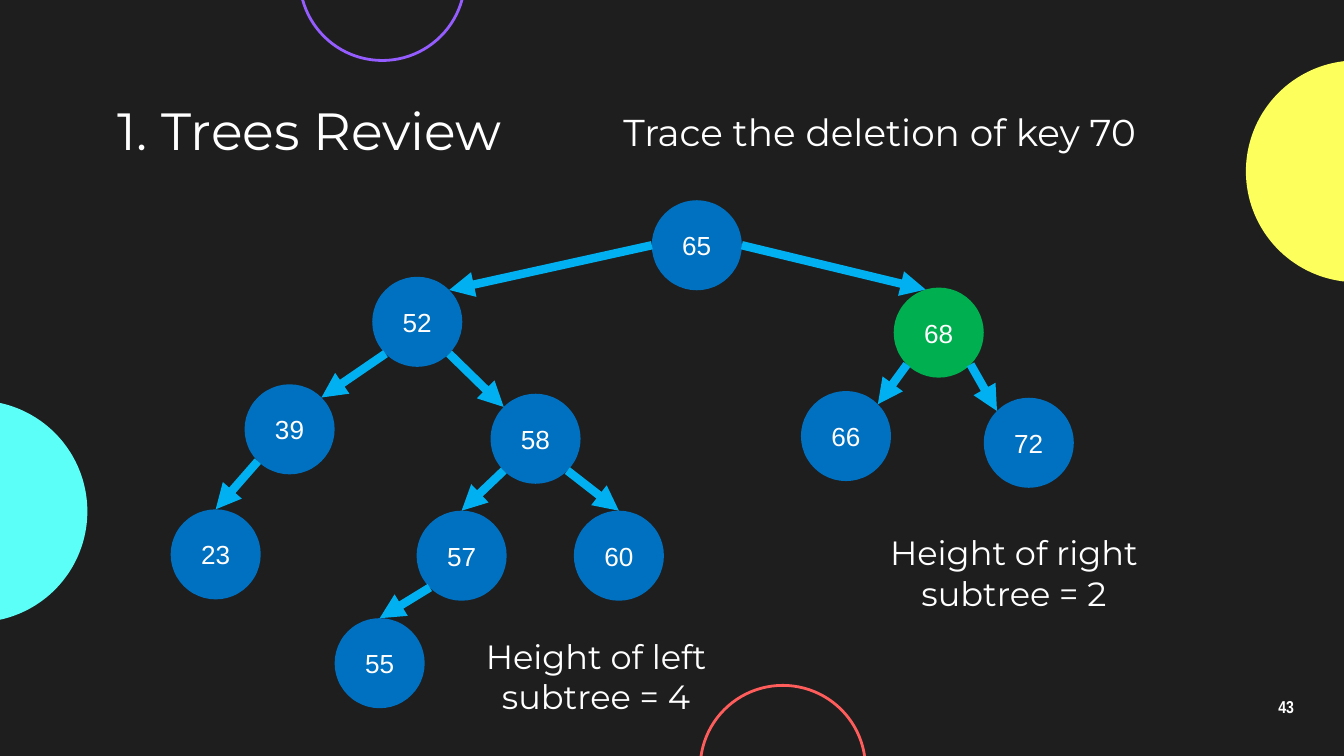
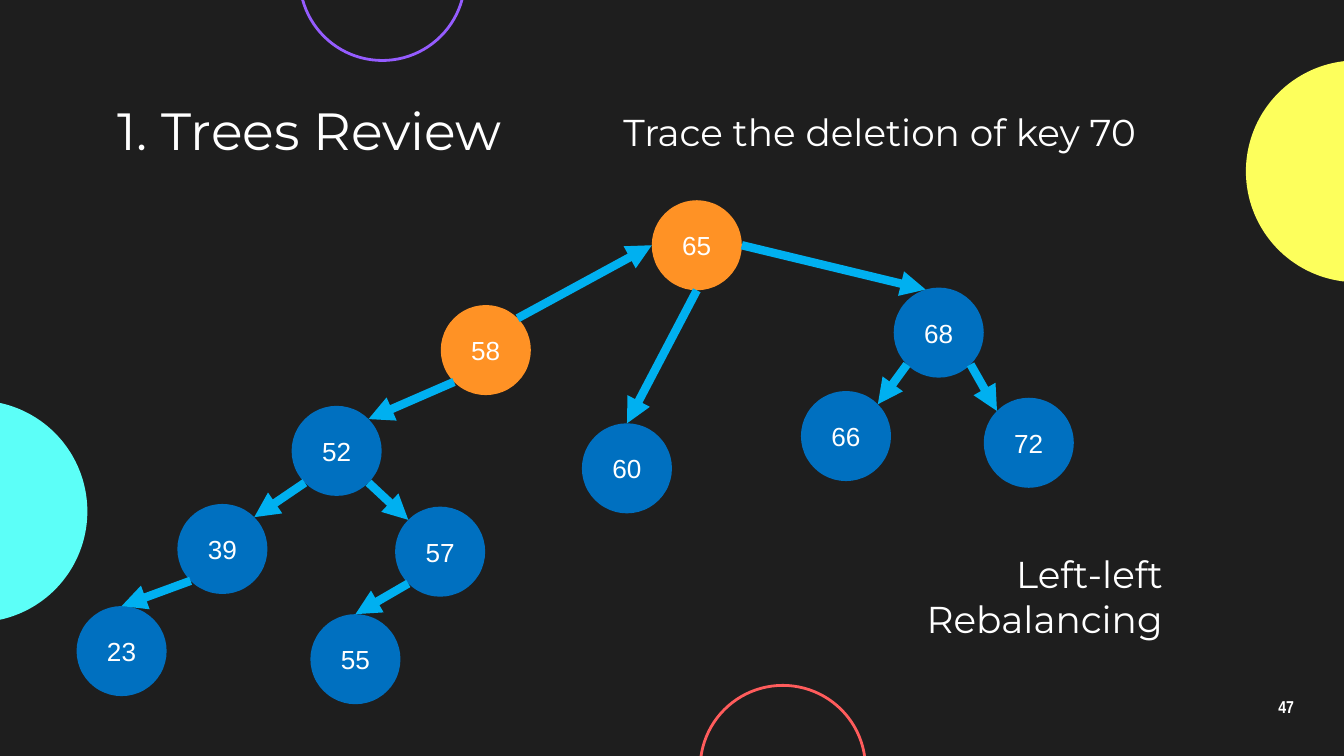
import math
import pptx
import pptx.util
import pptx.dml.color
import pptx.enum.shapes
import pptx.enum.text
import pptx.oxml
from dataclasses import dataclass

Inches = pptx.util.Inches
Shape = pptx.enum.shapes.MSO_SHAPE
Line = pptx.enum.shapes.MSO_CONNECTOR
Anchor = pptx.enum.text.MSO_ANCHOR
Align = pptx.enum.text.PP_ALIGN
NS = 'xmlns:a="http://schemas.openxmlformats.org/drawingml/2006/main"'


@dataclass(frozen=True)
class Theme:
    back: str = "1E1E1E"
    text: str = "FFFFFF"
    cyan: str = "5CFFF8"
    yellow: str = "FDFF5C"
    purple: str = "955CFF"
    red: str = "FF5C5C"
    blue: str = "0070C0"
    green: str = "00B050"
    orange: str = "FF9225"
    edge: str = "00B0F0"
    font: str = "Montserrat"
    key_font: str = "Arial"
    page_font: str = "Arial Narrow"
    title: float = 28
    head: float = 20
    note: float = 18
    key: float = 14
    page: float = 9.2
    ring: float = 1.5
    arrow: float = 4.5


T = Theme()
WIDE = 10
SIZE = 0.67
N, S, W, E = 0, 180, 270, 90
NE, SE, SW, NW, NNW = 45, 135, 225, 315, 343

RIGHT = {65: (4.85, 1.49), 68: (6.65, 2.14), 72: (7.32, 2.96), 66: (5.96, 2.91)}
RIGHT_EDGES = [(65, E, 68, NNW), (68, SE, 72, NW), (68, SW, 66, NE)]

BEFORE = RIGHT | {
    52: (2.77, 2.06), 39: (1.82, 2.86), 58: (3.65, 2.93), 23: (1.27, 3.79),
    57: (3.1, 3.8), 60: (4.27, 3.8), 55: (2.49, 4.6),
}
BEFORE_EDGES = RIGHT_EDGES + [
    (65, W, 52, NE), (52, SE, 58, NW), (52, SW, 39, NE), (58, SW, 57, N),
    (58, SE, 60, N), (57, SW, 55, N), (39, SW, 23, N),
]

AFTER = RIGHT | {
    52: (2.17, 3.02), 39: (1.32, 3.75), 58: (3.28, 2.27), 23: (0.57, 4.51),
    57: (2.94, 3.77), 60: (4.33, 3.15), 55: (2.31, 4.57),
}
AFTER_EDGES = RIGHT_EDGES + [
    (58, NE, 65, W), (52, SE, 57, NW), (52, SW, 39, NE), (58, SW, 52, NE),
    (65, S, 60, N), (57, SW, 55, N), (39, SW, 23, N),
]


def color(code):
    return pptx.dml.color.RGBColor.from_string(code)


def site(spot, angle):
    turn, half = math.radians(angle), SIZE / 2
    return (Inches(spot[0] + half + half * math.sin(turn)),
            Inches(spot[1] + half - half * math.cos(turn)))


class Deck:
    def __init__(self):
        self.show = pptx.Presentation()
        self.show.slide_width = Inches(WIDE)
        self.show.slide_height = Inches(WIDE * 9 / 16)
        fill = self.show.slide_master.background.fill
        fill.solid()
        fill.fore_color.rgb = color(T.back)
        self.slide = None

    def page(self, number):
        self.slide = self.show.slides.add_slide(self.show.slide_layouts[6])
        self.disc(-1, 2.98, 1.65, fill=T.cyan)
        self.disc(9.27, 0.45, 1.65, fill=T.yellow)
        self.disc(2.23, -0.78, 1.23, line=T.purple)
        self.disc(5.21, 5.1, 1.23, line=T.red)
        mark = self.text(number, 9.27, 5.1, 0.6, T.page, Align.CENTER,
                         Anchor.MIDDLE, T.page_font, tall=0.34)
        mark.line_spacing = 0.9
        mark.font.bold = True
        self.text("1. Trees Review", 0.78, 0.71, 8.44, T.title, anchor=Anchor.MIDDLE)
        self.text("Trace the deletion of key 70", 4.54, 0.71, 7.77, T.head)

    def disc(self, left, top, size, fill=None, line=None):
        disc = self.slide.shapes.add_shape(
            Shape.OVAL, Inches(left), Inches(top), Inches(size), Inches(size))
        disc.shadow.inherit = False
        if fill:
            disc.fill.solid()
            disc.fill.fore_color.rgb = color(fill)
        else:
            disc.fill.background()
        if line:
            disc.line.color.rgb = color(line)
            disc.line.width = pptx.util.Pt(T.ring)
        else:
            disc.line.fill.background()
        return disc

    def style(self, para, size, font, align):
        para.alignment = align
        para.font.name = font
        para.font.size = pptx.util.Pt(size)
        para.font.color.rgb = color(T.text)

    def text(self, words, left, top, wide, size, align=Align.LEFT,
             anchor=Anchor.TOP, font=T.font, tall=0.51):
        box = self.slide.shapes.add_textbox(
            Inches(left), Inches(top), Inches(wide), Inches(tall))
        frame = box.text_frame
        frame.word_wrap = True
        frame.vertical_anchor = anchor
        frame.margin_left = frame.margin_right = Inches(0.1)
        frame.margin_top = frame.margin_bottom = Inches(0.1)
        para = frame.paragraphs[0]
        para.text = words
        self.style(para, size, font, align)
        return para

    def node(self, key, spot, fill):
        frame = self.disc(*spot, SIZE, fill=fill).text_frame
        frame.vertical_anchor = Anchor.MIDDLE
        para = frame.paragraphs[0]
        para.text = str(key)
        self.style(para, T.key, T.key_font, Align.CENTER)

    def arrow(self, start, end):
        arrow = self.slide.shapes.add_connector(Line.STRAIGHT, *start, *end)
        arrow.line.color.rgb = color(T.edge)
        arrow.line.width = pptx.util.Pt(T.arrow)
        arrow.line._get_or_add_ln().append(
            pptx.oxml.parse_xml(f'<a:tailEnd {NS} type="triangle"/>'))
        arrow._element.spPr.append(pptx.oxml.parse_xml(f"<a:effectLst {NS}/>"))

    def tree(self, nodes, edges, marks):
        for key, spot in nodes.items():
            self.node(key, spot, marks.get(key, T.blue))
        for tail, leave, head, enter in edges:
            self.arrow(site(nodes[tail], leave), site(nodes[head], enter))


def main():
    deck = Deck()
    deck.page("43")
    deck.tree(BEFORE, BEFORE_EDGES, {68: T.green})
    deck.text("Height of left subtree = 4", 3.1, 4.63, 2.67, T.note, Align.CENTER)
    deck.text("Height of right subtree = 2", 6.21, 3.86, 2.67, T.note, Align.CENTER)

    deck.page("47")
    deck.tree(AFTER, AFTER_EDGES, {65: T.orange, 58: T.orange})
    deck.text("Left-left Rebalancing", 5.7, 4, 3.05, T.head, Align.RIGHT)
    deck.show.save("out.pptx")


if __name__ == "__main__":
    main()
